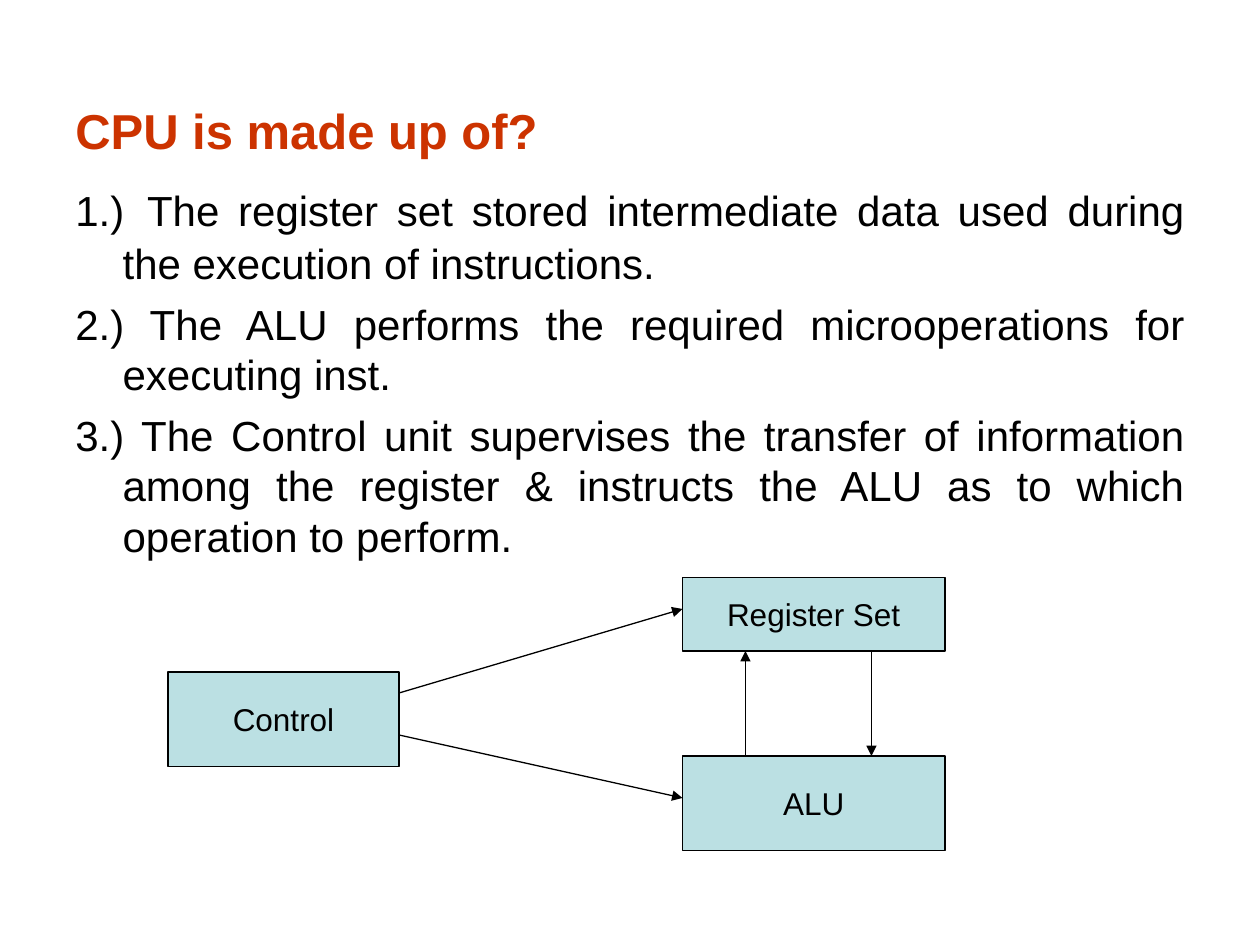
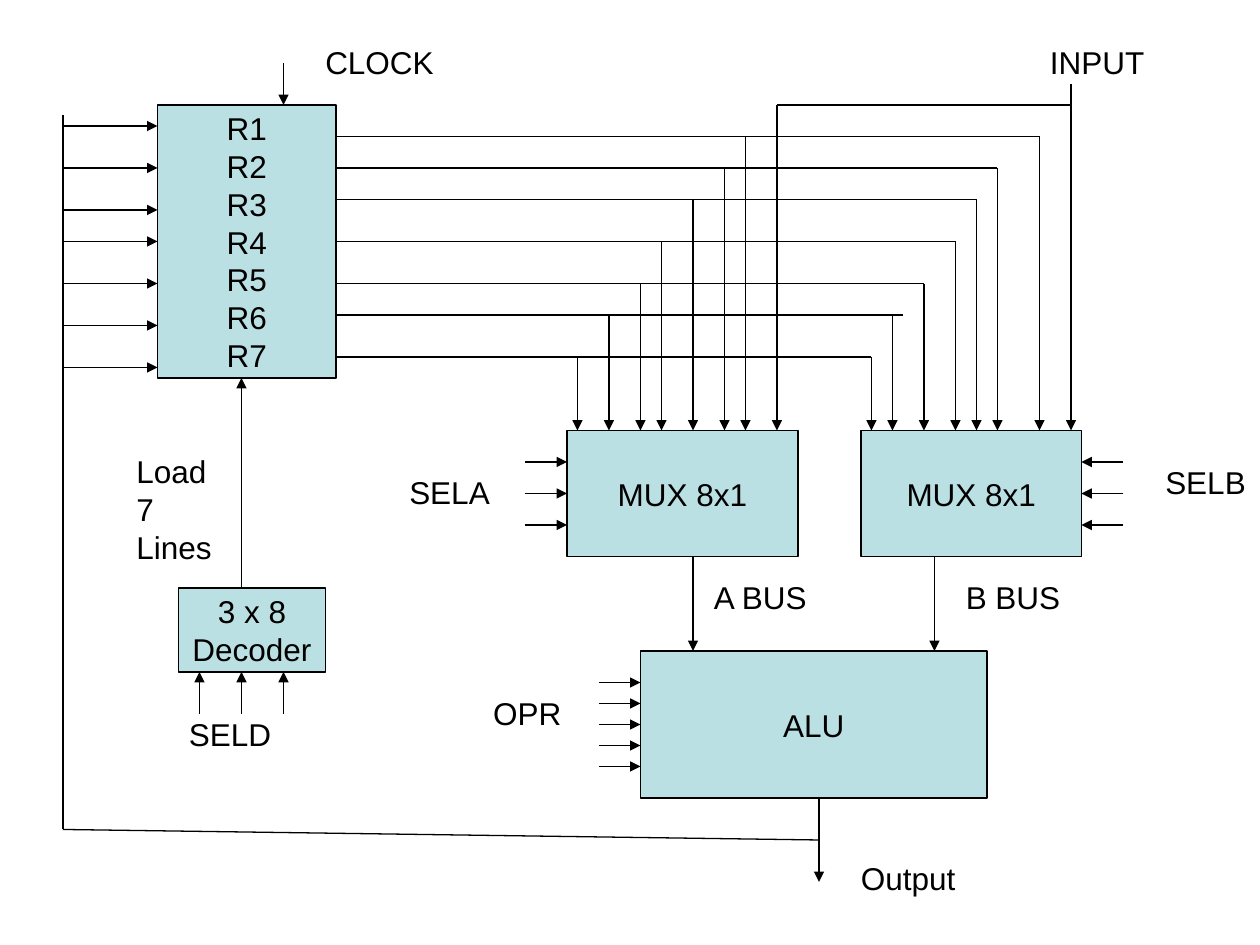
from dataclasses import dataclass

from lxml.etree import SubElement
from pptx import Presentation
from pptx.dml.color import RGBColor
from pptx.enum.shapes import MSO_CONNECTOR as Connector, MSO_SHAPE as Preset
from pptx.enum.text import MSO_ANCHOR as Anchor, MSO_AUTO_SIZE as AutoSize, PP_ALIGN as Align
from pptx.oxml.ns import qn
from pptx.util import Pt

EMU_PER_PX = 7620
FONT = "Arial"
BLACK = "000000"
TITLE_RED = "CC3300"
BOX_BLUE = "BBE0E3"
LINE_WIDTH = Pt(0.75)
HANGING_INDENT = 45
LABEL_HEIGHT = 48


@dataclass(frozen=True)
class Box:
    text: str
    left: int
    top: int
    width: int
    height: int

    def side_middles(self) -> list[tuple[float, float]]:
        middle_x = self.left + self.width / 2
        middle_y = self.top + self.height / 2
        return [
            (middle_x, self.top),
            (self.left, middle_y),
            (middle_x, self.top + self.height),
            (self.left + self.width, middle_y),
        ]


@dataclass(frozen=True)
class Label:
    text: str
    left: int
    top: int
    width: int
    height: int = LABEL_HEIGHT


@dataclass(frozen=True)
class Line:
    x1: int
    y1: int
    x2: int
    y2: int
    arrow: bool = True


@dataclass(frozen=True)
class RegisterBus:
    y: int
    mux_a_x: int
    mux_b_x: int
    end_x: int


def px(length: int) -> int:
    return length * EMU_PER_PX


def color(value: str) -> RGBColor:
    return RGBColor.from_string(value)


def style_font(font, size: int, value: str = BLACK, bold: bool = False) -> None:
    font.name = FONT
    font.size = Pt(size)
    font.bold = bold
    font.color.rgb = color(value)


def fill_text(frame, text: str, alignment: Align) -> None:
    frame.word_wrap = False
    frame.text = text
    for paragraph in frame.paragraphs:
        paragraph.alignment = alignment
        style_font(paragraph.font, 18)


def draw_box(slide, box: Box):
    shape = slide.shapes.add_shape(
        Preset.RECTANGLE, px(box.left), px(box.top), px(box.width), px(box.height)
    )
    shape.shadow.inherit = False
    shape.fill.solid()
    shape.fill.fore_color.rgb = color(BOX_BLUE)
    shape.line.color.rgb = color(BLACK)
    shape.line.width = LINE_WIDTH
    shape.text_frame.vertical_anchor = Anchor.MIDDLE
    fill_text(shape.text_frame, box.text, Align.CENTER)
    return shape


def draw_label(slide, label: Label) -> None:
    text_box = slide.shapes.add_textbox(
        px(label.left), px(label.top), px(label.width), px(label.height)
    )
    fill_text(text_box.text_frame, label.text, Align.LEFT)
    text_box.text_frame.auto_size = AutoSize.SHAPE_TO_FIT_TEXT


def draw_line(slide, line: Line, sites: dict) -> None:
    connector = slide.shapes.add_connector(
        Connector.STRAIGHT, px(line.x1), px(line.y1), px(line.x2), px(line.y2)
    )
    connector.line.color.rgb = color(BLACK)
    connector.line.width = LINE_WIDTH
    properties = connector._element.spPr
    if line.arrow:
        SubElement(properties.find(qn("a:ln")), qn("a:tailEnd"), type="triangle")
    SubElement(properties, qn("a:effectLst"))
    if (line.x1, line.y1) in sites:
        connector.begin_connect(*sites[line.x1, line.y1])
    if (line.x2, line.y2) in sites:
        connector.end_connect(*sites[line.x2, line.y2])


def draw_diagram(slide, boxes: list[Box], lines: list[Line]) -> None:
    sites = {}
    for box in boxes:
        shape = draw_box(slide, box)
        for index, point in enumerate(box.side_middles()):
            sites[point] = (shape, index)
    for line in lines:
        draw_line(slide, line, sites)


def draw_body(slide, title: str, points: list[list[str]]) -> None:
    frame = slide.shapes.add_textbox(px(60), px(90), px(1080), px(770)).text_frame
    frame.word_wrap = True
    for index, pieces in enumerate([[title], *points]):
        paragraph = frame.add_paragraph() if index else frame.paragraphs[0]
        paragraph.alignment = Align.JUSTIFY
        properties = paragraph._element.get_or_add_pPr()
        properties.set("marL", str(px(HANGING_INDENT)))
        properties.set("indent", str(-px(HANGING_INDENT)))
        for piece in pieces:
            run = paragraph.add_run()
            run.text = piece
            if piece == " ":
                run.font.size = Pt(32)
        if index:
            paragraph.space_before = Pt(6)
            style_font(paragraph.font, 24)
        else:
            style_font(paragraph.font, 28, TITLE_RED, bold=True)


def build_cpu_parts(slide) -> None:
    draw_body(
        slide,
        "CPU is made up of?",
        [
            ["1.)", " ", "The register set stored intermediate data used during "
             "the execution of instructions."],
            ["2.) The ALU performs the required microoperations for executing inst."],
            ["3.) The Control unit supervises the transfer of information among the "
             "register & instructs the ALU as to which operation to perform."],
        ],
    )
    boxes = [
        Box("Control", 160, 640, 220, 90),
        Box("Register Set", 650, 550, 250, 70),
        Box("ALU", 650, 720, 250, 90),
    ]
    lines = [
        Line(380, 660, 650, 580),
        Line(380, 700, 650, 760),
        Line(710, 720, 710, 620),
        Line(830, 620, 830, 720),
    ]
    draw_diagram(slide, boxes, lines)


def register_lines() -> list[Line]:
    buses = [
        RegisterBus(130, 710, 990, 990),
        RegisterBus(160, 690, 950, 950),
        RegisterBus(190, 660, 930, 930),
        RegisterBus(230, 630, 910, 910),
        RegisterBus(270, 610, 880, 880),
        RegisterBus(300, 580, 850, 860),
        RegisterBus(340, 550, 830, 830),
    ]
    lines = [Line(320, bus.y, bus.end_x, bus.y, arrow=False) for bus in buses]
    for bus in buses:
        lines += [Line(x, bus.y, x, 410) for x in (bus.mux_a_x, bus.mux_b_x)]
    return lines


def build_register_organization(slide) -> None:
    boxes = [
        Box("MUX 8x1", 540, 410, 220, 120),
        Box("MUX 8x1", 820, 410, 210, 120),
        Box("ALU", 610, 620, 330, 140),
        Box("\n".join(f"R{number}" for number in range(1, 8)), 150, 100, 170, 260),
        Box("3 x 8\nDecoder", 170, 560, 140, 80),
    ]
    bus_outputs = [Line(x, 530, x, 620) for x in (660, 890)]
    feedback = [
        Line(780, 760, 780, 840),
        Line(60, 110, 60, 790, arrow=False),
        Line(60, 790, 780, 800, arrow=False),
    ]
    register_loads = [Line(60, y, 150, y) for y in (120, 160, 200, 230, 270, 310, 350)]
    external_input = [
        Line(740, 100, 740, 410),
        Line(740, 100, 1020, 100, arrow=False),
        Line(1020, 80, 1020, 410),
    ]
    decoder_load = Line(230, 560, 230, 360)
    clock = Line(270, 60, 270, 100)
    operation = [Line(570, y, 610, y) for y in range(650, 731, 20)]
    select_d = [Line(x, 680, x, 640) for x in range(190, 271, 40)]
    select_a_b = [
        Line(start, y, end, y)
        for start, end in ((500, 540), (1070, 1030))
        for y in range(440, 501, 30)
    ]
    draw_diagram(
        slide,
        boxes,
        [*bus_outputs, *feedback, *register_loads, *register_lines(), *external_input,
         decoder_load, clock, *operation, *select_d, *select_a_b],
    )
    labels = [
        Label("Output", 808, 812, 114),
        Label("OPR", 458, 655, 89),
        Label("SELD", 168, 675, 102),
        Label("SELA", 378, 445, 101),
        Label("SELB", 1098, 435, 101),
        Label("A BUS", 668, 545, 114),
        Label("B BUS", 908, 545, 114),
        Label("CLOCK", 298, 35, 127),
        Label("INPUT", 988, 35, 114),
        Label("Load\n7 Lines", 118, 425, 120, 84),
    ]
    for label in labels:
        draw_label(slide, label)


def main() -> None:
    presentation = Presentation()
    presentation.slide_width = px(1200)
    presentation.slide_height = px(900)
    blank_layout = presentation.slide_layouts[6]
    for build in (build_cpu_parts, build_register_organization):
        build(presentation.slides.add_slide(blank_layout))
    presentation.save("out.pptx")


if __name__ == "__main__":
    main()
